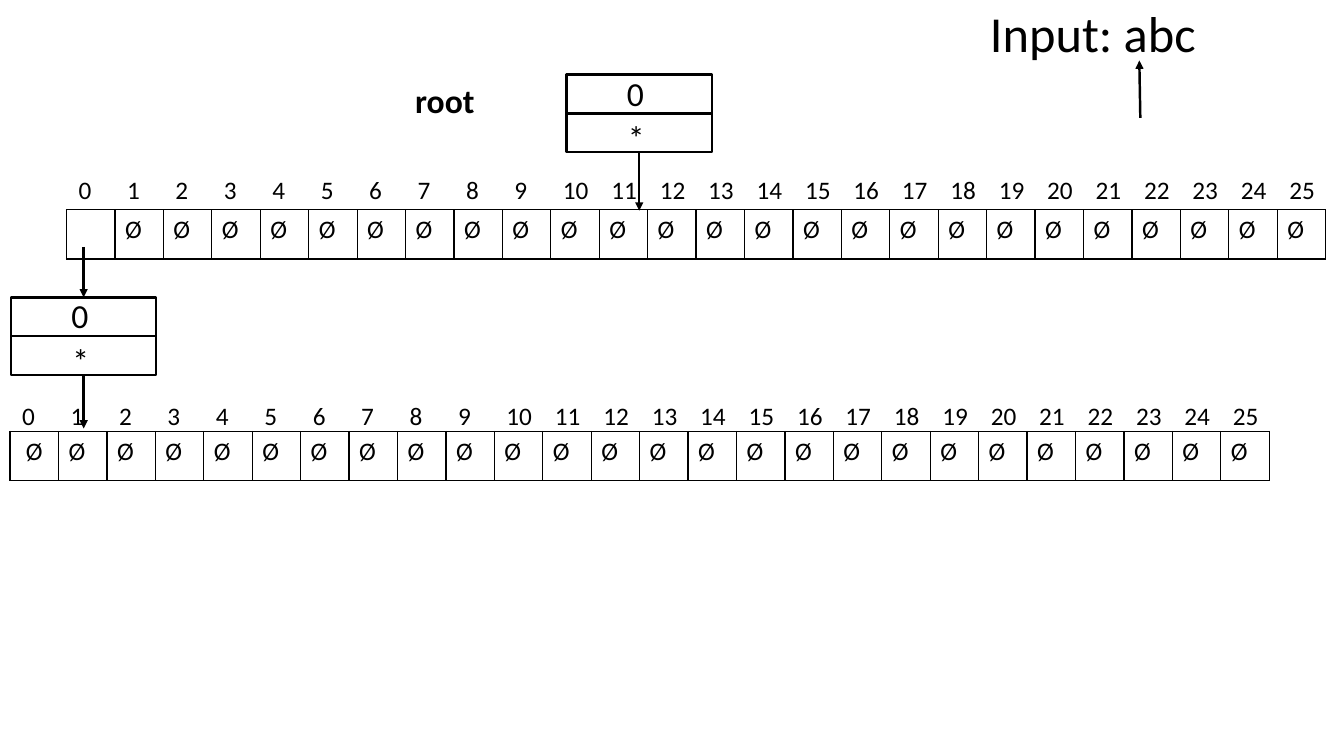
from lxml import etree
from pptx import Presentation
from pptx.dml.color import RGBColor
from pptx.enum.shapes import MSO_CONNECTOR, MSO_SHAPE
from pptx.enum.text import PP_ALIGN
from pptx.oxml.ns import qn
from pptx.util import Inches, Pt

BLACK = RGBColor(0, 0, 0)
STRAIGHT = MSO_CONNECTOR.STRAIGHT
RECTANGLE = MSO_SHAPE.RECTANGLE
CENTER = PP_ALIGN.CENTER
TOP, LEFT, BOTTOM, RIGHT = range(4)
LETTERS = 26
ROW_WIDTH = 12.49
NODE_WIDTH, NODE_HEIGHT = 1.44, 0.77
LINE_WIDTH = Pt(1.75)
EMPTY = "Ø"


def write(paragraph, text, size, bold=False):
    run = paragraph.add_run()
    run.text = text
    formats = {"name": "Calibri", "size": Pt(size), "bold": bold}
    for name, value in formats.items():
        setattr(run.font, name, value)
    run.font.color.rgb = BLACK


def add_text(slide, left, top, width, height, text, size=24, bold=False):
    box = slide.shapes.add_textbox(Inches(left), Inches(top), Inches(width), Inches(height))
    box.text_frame.word_wrap = True
    write(box.text_frame.paragraphs[0], text, size, bold)


def add_line(slide, start, end, arrow=False):
    line = slide.shapes.add_connector(STRAIGHT, *map(Inches, start + end))
    line.line.color.rgb = BLACK
    line.line.width = LINE_WIDTH
    if arrow:
        etree.SubElement(line.line._get_or_add_ln(), qn("a:tailEnd"), type="triangle")
    etree.SubElement(line._element.spPr, qn("a:effectLst"))
    return line


def add_node(slide, left, top, arrow_end):
    """Draw a trie node: a count above a pointer to its row of children."""
    box = slide.shapes.add_shape(
        RECTANGLE, Inches(left), Inches(top), Inches(NODE_WIDTH), Inches(NODE_HEIGHT))
    box.shadow.inherit = False
    box.fill.background()
    box.line.color.rgb = BLACK
    box.line.width = LINE_WIDTH

    middle = top + NODE_HEIGHT / 2
    divider = add_line(slide, (left, middle), (left + NODE_WIDTH, middle))
    divider.begin_connect(box, LEFT)
    divider.end_connect(box, RIGHT)
    add_text(slide, left + 0.5, top - 0.07, 0.46, 0.5, "0")
    add_text(slide, left + 0.51, top + 0.37, 0.46, 0.5, "*")

    center = left + NODE_WIDTH / 2
    pointer = add_line(slide, (center, top + NODE_HEIGHT), (center, arrow_end), arrow=True)
    pointer.begin_connect(box, BOTTOM)
    return box


def set_borders(cell, visible):
    properties = cell._tc.get_or_add_tcPr()
    for index, side in enumerate(("a:lnL", "a:lnR", "a:lnT", "a:lnB")):
        border = etree.Element(qn(side), w=str(Pt(1)))
        if visible:
            fill = etree.SubElement(border, qn("a:solidFill"))
            etree.SubElement(fill, qn("a:srgbClr"), val=str(BLACK))
        else:
            etree.SubElement(border, qn("a:noFill"))
        properties.insert(index, border)


def add_cells(slide, left, top, height, values, bordered):
    table = slide.shapes.add_table(
        1, LETTERS, Inches(left), Inches(top), Inches(ROW_WIDTH), Inches(height)).table
    table.first_row = table.horz_banding = False
    for column, value in enumerate(values):
        table.columns[column].width = Inches(ROW_WIDTH / LETTERS)
        cell = table.cell(0, column)
        cell.fill.background()
        set_borders(cell, bordered)
        if value:
            write(cell.text_frame.paragraphs[0], value, 18)
    return table


def add_children(slide, left, top, label_top, first_value):
    """Draw the numbered row of child pointers."""
    add_cells(slide, left + 0.02, label_top, 0.4, map(str, range(LETTERS)), False)
    values = [first_value] + [EMPTY] * (LETTERS - 1)
    return add_cells(slide, left, top, 0.49, values, True)


def add_input(slide, left, top):
    add_text(slide, left, top, 3.21, 0.71, "Input: abc", size=36)
    add_line(slide, (left + 1.59, top + 1.2), (left + 1.58, top + 0.63), arrow=True)


def main():
    presentation = Presentation()
    presentation.slide_width = Inches(13.33)
    presentation.slide_height = Inches(7.5)
    slide = presentation.slides.add_slide(presentation.slide_layouts[6])

    add_node(slide, 5.62, 0.74, arrow_end=2.09)
    add_children(slide, 0.66, 2.08, 1.69, "")
    add_text(slide, 4.02, 0.74, 0.94, 0.5, "root", bold=True)
    add_input(slide, 9.72, -0.03)

    child = add_node(slide, 0.11, 2.95, arrow_end=4.25)
    link = add_line(slide, (0.83, 2.45), (0.83, 2.95), arrow=True)
    link.end_connect(child, TOP)
    children = add_children(slide, 0.1, 4.28, 3.93, EMPTY)
    children.cell(0, 0).text_frame.paragraphs[0].alignment = CENTER

    presentation.save("out.pptx")


if __name__ == "__main__":
    main()
